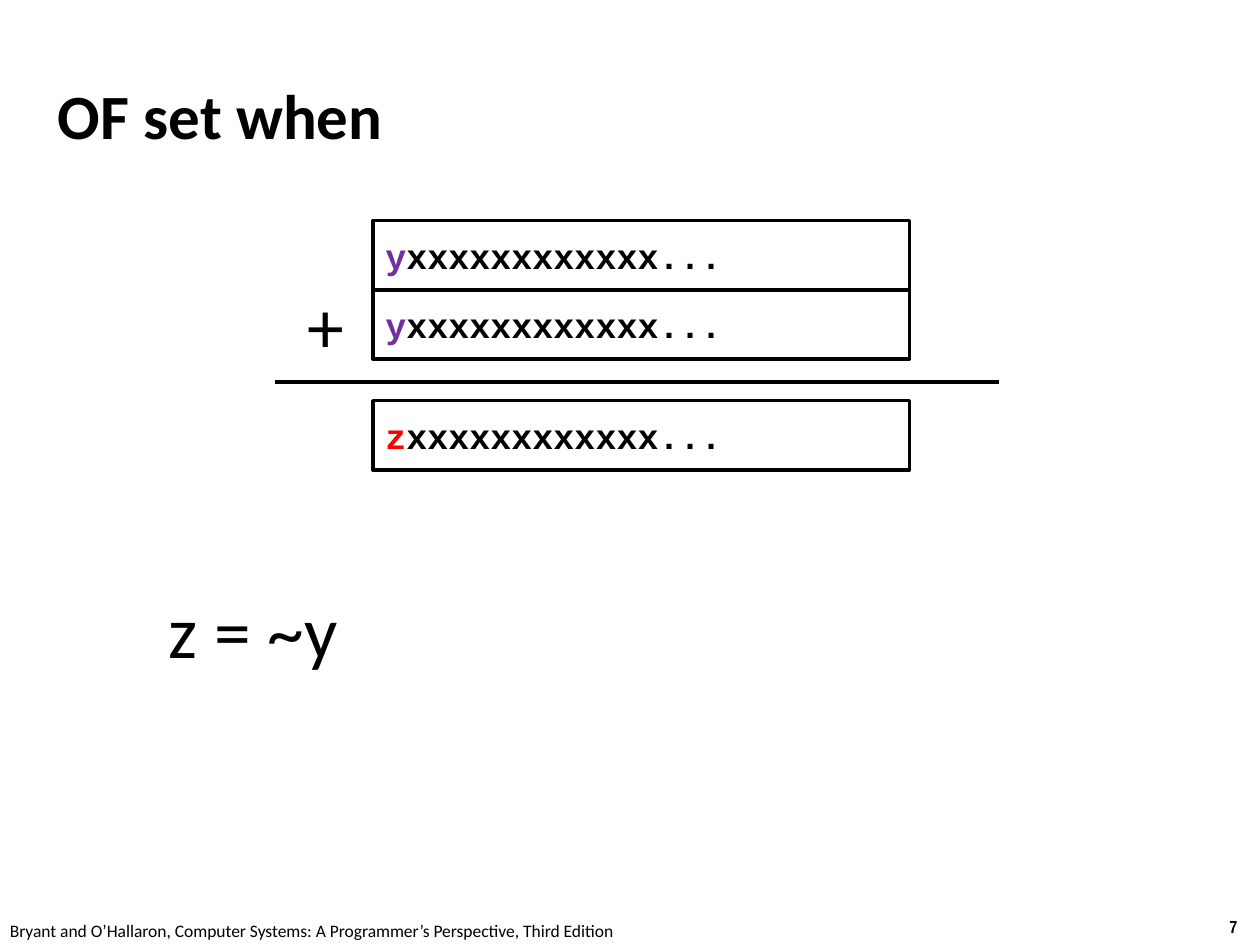
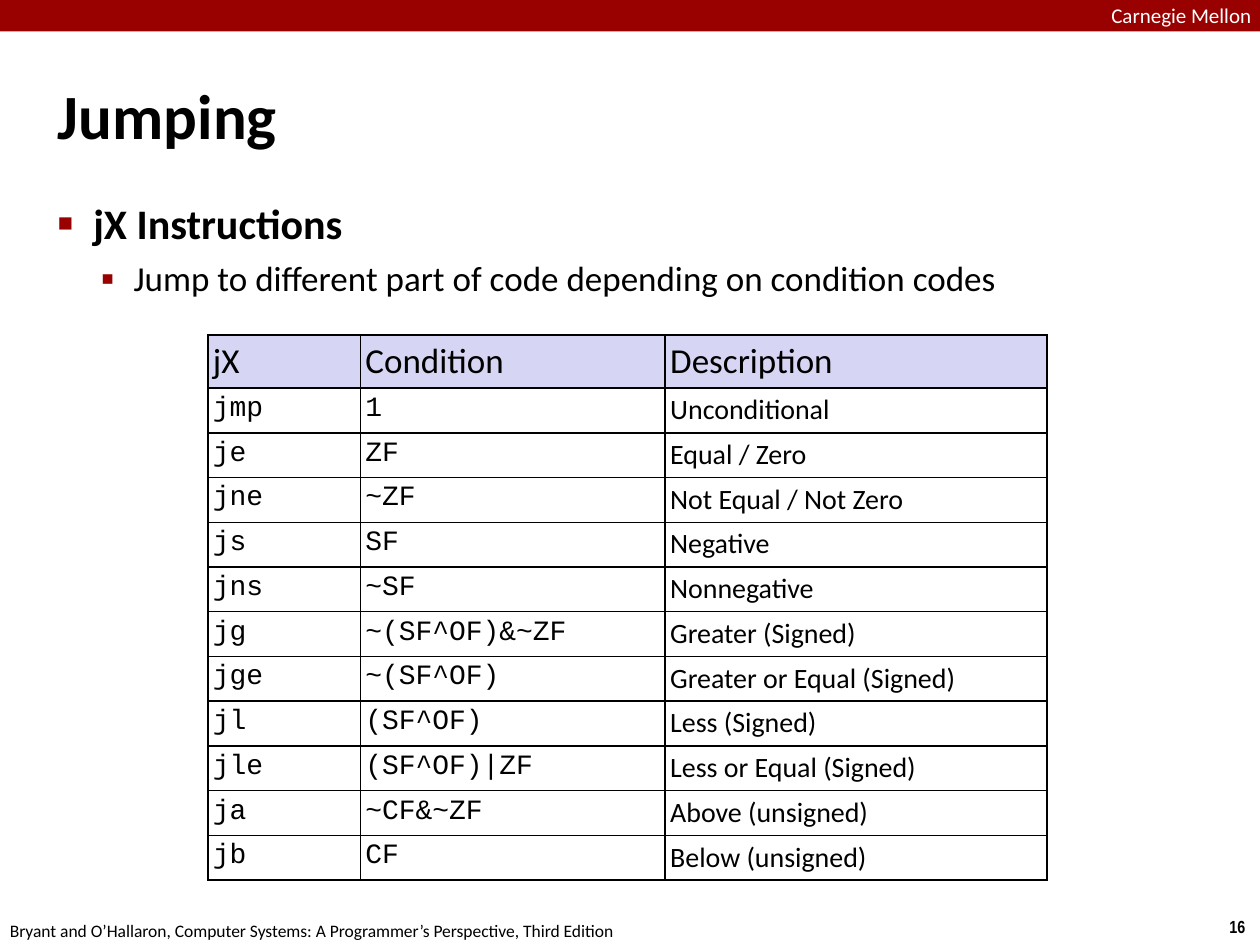
from lxml.etree import SubElement
from pptx import Presentation
from pptx.dml.color import RGBColor
from pptx.enum.shapes import MSO_CONNECTOR, MSO_SHAPE
from pptx.enum.text import MSO_ANCHOR, MSO_AUTO_SIZE, PP_ALIGN
from pptx.oxml import parse_xml
from pptx.oxml.ns import nsdecls, qn
from pptx.util import Inches, Pt

BLACK, WHITE, RED = "000000", "FFFFFF", "990000"
PURPLE, BRIGHT_RED, LAVENDER = "7030A0", "FF0000", "D6D6F4"
SANS, CODE, NARROW = "Calibri", "Courier New", "Arial Narrow"
INSET = 0.04

FOOTER = "Bryant and O’Hallaron, Computer Systems: A Programmer’s Perspective, Third Edition"
UNIVERSITY = "Carnegie Mellon"

OPERANDS = [("y", PURPLE, 1.75), ("y", PURPLE, 2.3), ("z", BRIGHT_RED, 3.18)]
LOWER_BITS = "xxxxxxxxxxxx..."

BULLETS = [
    {"text": "jX Instructions", "size": 24, "bold": True, "before": 0,
     "margin": 0.28, "hanging": 0.28, "mark": "■", "mark_size": 60},
    {"text": "Jump to different part of code depending on condition codes",
     "size": 20, "bold": False, "before": 5,
     "margin": 0.6, "hanging": 0.26, "mark": "▪", "mark_size": 110},
]

JUMPS = [
    ("jX", "Condition", "Description"),
    ("jmp", "1", "Unconditional"),
    ("je", "ZF", "Equal / Zero"),
    ("jne", "~ZF", "Not Equal / Not Zero"),
    ("js", "SF", "Negative"),
    ("jns", "~SF", "Nonnegative"),
    ("jg", "~(SF^OF)&~ZF", "Greater (Signed)"),
    ("jge", "~(SF^OF)", "Greater or Equal (Signed)"),
    ("jl", "(SF^OF)", "Less (Signed)"),
    ("jle", "(SF^OF)|ZF", "Less or Equal (Signed)"),
    ("ja", "~CF&~ZF", "Above (unsigned)"),
    ("jb", "CF", "Below (unsigned)"),
]
COLUMN_WIDTHS = [1.21, 2.42, 3.03]
TABLE_HEIGHT, HEADER_HEIGHT = 4.33, 0.42


def color(value):
    return RGBColor.from_string(value)


def style(font, size, name=SANS, shade=BLACK, bold=False):
    font.size, font.name, font.bold = Pt(size), name, bold
    font.color.rgb = color(shade)


def set_insets(target, inset):
    target.margin_left = target.margin_right = Inches(inset)
    target.margin_top = target.margin_bottom = Inches(inset)


def place(shape, left, top, width, height):
    shape.left, shape.top = Inches(left), Inches(top)
    shape.width, shape.height = Inches(width), Inches(height)


def add_text(page, text, area, size, inset=None, **look):
    box = page.shapes.add_textbox(*map(Inches, area))
    box.text_frame.word_wrap = False
    if inset is not None:
        set_insets(box.text_frame, inset)
    para = box.text_frame.paragraphs[0]
    para.text = text
    style(para.font, size, **look)


def add_rectangle(page, left, top, width, height):
    rectangle = page.shapes.add_shape(
        MSO_SHAPE.RECTANGLE, *map(Inches, (left, top, width, height)))
    rectangle.shadow.inherit = False
    return rectangle


def add_page(deck, layout, title, number):
    page = deck.slides.add_slide(deck.slide_layouts.get_by_name(layout))
    add_text(page, number, (9.66, 7.22, 0.34, 0.27), 10, name=NARROW, bold=True)
    add_text(page, FOOTER, (-0.02, 7.25, 5.08, 0.27), 10)
    heading = page.shapes.title
    place(heading, 0.42, 0.28, 9.17, 1.25)
    frame = heading.text_frame
    frame.text = title
    frame.auto_size = MSO_AUTO_SIZE.NONE
    frame.vertical_anchor = MSO_ANCHOR.MIDDLE
    set_insets(frame, INSET)
    para = frame.paragraphs[0]
    para.alignment = PP_ALIGN.LEFT
    style(para.font, 36, bold=True)
    return page


def add_operand(page, sign_bit, shade, top):
    box = add_rectangle(page, 2.96, top, 4.26, 0.55)
    box.fill.background()
    box.line.color.rgb = color(BLACK)
    box.line.width = Pt(2)
    box.text_frame.vertical_anchor = MSO_ANCHOR.MIDDLE
    para = box.text_frame.paragraphs[0]
    para.alignment = PP_ALIGN.LEFT
    for text, run_color in ((sign_bit, shade), (LOWER_BITS, BLACK)):
        span = para.add_run()
        span.text = text
        style(span.font, 20, CODE, run_color, True)


def add_sum_line(page):
    line = page.shapes.add_connector(
        MSO_CONNECTOR.STRAIGHT, *map(Inches, (2.18, 3.03, 7.93, 3.03)))
    line.line.color.rgb = color(BLACK)
    line.line.width = Pt(2)
    SubElement(line._element.spPr, qn("a:effectLst"))


def add_band(page):
    band = add_rectangle(page, 0, 0, 10, 0.25)
    band.fill.solid()
    band.fill.fore_color.rgb = color(RED)
    band.line.fill.background()
    add_text(page, UNIVERSITY, (8.82, 0.02, 1.18, 0.19), 12, inset=0, shade=WHITE)


def fill_bullets(body):
    place(body, 0.42, 1.53, 9.17, 0.94)
    frame = body.text_frame
    frame.auto_size = MSO_AUTO_SIZE.NONE
    set_insets(frame, INSET)
    for level, bullet in enumerate(BULLETS):
        para = frame.add_paragraph() if level else frame.paragraphs[0]
        para.text = bullet["text"]
        para.level = level
        properties = para._p.get_or_add_pPr()
        properties.set("marL", str(Inches(bullet["margin"])))
        properties.set("indent", str(-Inches(bullet["hanging"])))
        mark_color = SubElement(properties, qn("a:buClr"))
        SubElement(mark_color, qn("a:srgbClr"), val=RED)
        SubElement(properties, qn("a:buSzPct"), val=str(bullet["mark_size"] * 1000))
        SubElement(properties, qn("a:buChar"), char=bullet["mark"])
        para.space_before = Pt(bullet["before"])
        style(para.font, bullet["size"], bold=bullet["bold"])


def add_borders(cell):
    properties = cell._tc.get_or_add_tcPr()
    for position, side in enumerate(("lnL", "lnR", "lnT", "lnB")):
        properties.insert(position, parse_xml(
            f'<a:{side} {nsdecls("a")} w="{Pt(1)}"><a:solidFill>'
            f'<a:srgbClr val="{BLACK}"/></a:solidFill></a:{side}>'))


def add_jump_table(page):
    area = (1.65, 2.66, sum(COLUMN_WIDTHS), TABLE_HEIGHT)
    table = page.shapes.add_table(
        len(JUMPS), len(COLUMN_WIDTHS), *map(Inches, area)).table
    table.first_row = table.horz_banding = False
    for column, width in zip(table.columns, COLUMN_WIDTHS):
        column.width = Inches(width)
    row_height = (TABLE_HEIGHT - HEADER_HEIGHT) / (len(JUMPS) - 1)
    for row, texts in enumerate(JUMPS):
        table.rows[row].height = Inches(row_height if row else HEADER_HEIGHT)
        for column, text in enumerate(texts):
            cell = table.cell(row, column)
            set_insets(cell, INSET)
            if row:
                cell.fill.background()
            else:
                cell.fill.solid()
                cell.fill.fore_color.rgb = color(LAVENDER)
            add_borders(cell)
            para = cell.text_frame.paragraphs[0]
            para.text = text
            style(para.font, 16 if row else 20, CODE if row and column < 2 else SANS)


def build_overflow(deck):
    page = add_page(deck, "Title Only", "OF set when", "7")
    for operand in OPERANDS:
        add_operand(page, *operand)
    add_sum_line(page)
    add_text(page, "+", (2.34, 2.17, 0.5, 0.81), 42)
    add_text(page, "z = ~y", (1.24, 4.59, 1.87, 0.81), 42)


def build_jumping(deck):
    page = add_page(deck, "Title and Content", "Jumping", "16")
    add_band(page)
    fill_bullets(page.placeholders[1])
    add_jump_table(page)


def main():
    deck = Presentation()
    deck.slide_width, deck.slide_height = Inches(10), Inches(7.5)
    build_overflow(deck)
    build_jumping(deck)
    deck.save("out.pptx")


if __name__ == "__main__":
    main()
